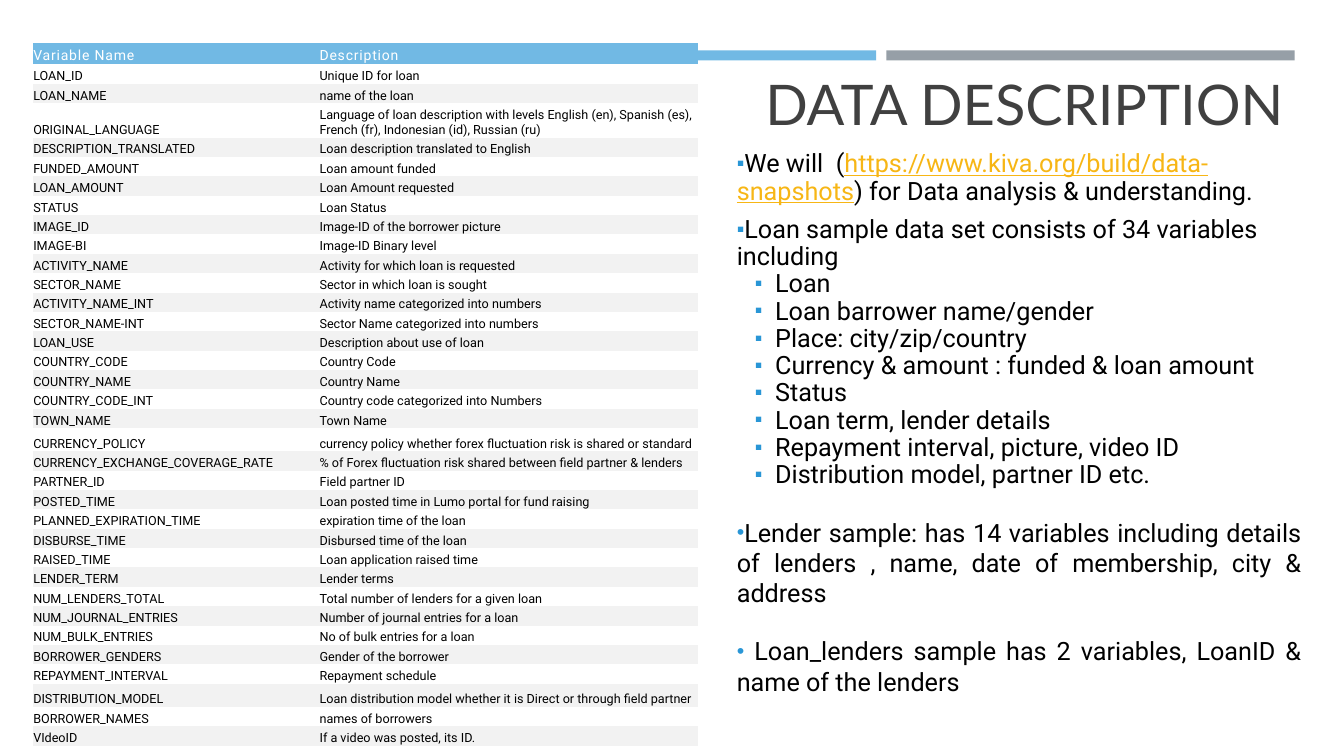
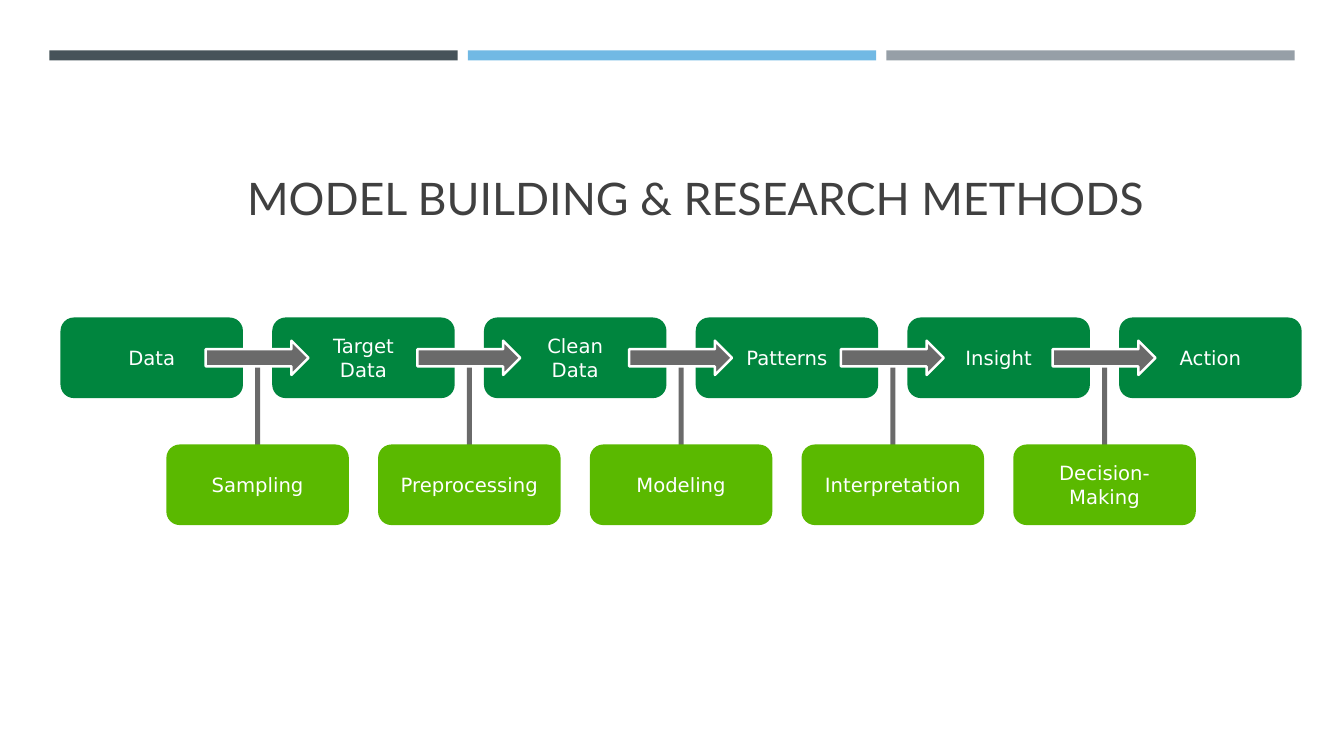
from lxml.etree import SubElement
from pptx import Presentation
from pptx.dml.color import RGBColor
from pptx.enum.shapes import MSO_SHAPE
from pptx.enum.text import MSO_ANCHOR, PP_ALIGN
from pptx.oxml.ns import qn
from pptx.util import Inches, Pt

COLORS = {
    "slate": "465359", "sky": "71B9E4", "silver": "969FA7",
    "title": "404040", "black": "000000", "white": "FFFFFF",
    "stripe": "F2F2F2", "bullet": "2996D6", "link": "F7B615",
    "stage": "00853E", "step": "5AB900", "arrow": "6A6A6A",
}
TITLE_FONT, BODY_FONT, FLOW_FONT = "Lato", "Roboto", "DejaVu Sans"
NO_GRID_STYLE = "{2D5ABB26-0587-4C30-8999-92F81FD0307C}"
BANDS = ["slate", "sky", "silver"]

HEADINGS = ("Variable Name", "Description")
VARIABLES = [
    ("LOAN_ID", "Unique ID for loan"),
    ("LOAN_NAME", "name of the loan"),
    ("ORIGINAL_LANGUAGE", "Language of loan description with levels English (en), "
     "Spanish (es), French (fr), Indonesian (id), Russian (ru)"),
    ("DESCRIPTION_TRANSLATED", "Loan description translated to English"),
    ("FUNDED_AMOUNT", "Loan amount funded"),
    ("LOAN_AMOUNT", "Loan Amount requested"),
    ("STATUS", "Loan Status"),
    ("IMAGE_ID", "Image-ID of the borrower picture"),
    ("IMAGE-BI", "Image-ID Binary level"),
    ("ACTIVITY_NAME", "Activity for which loan is requested"),
    ("SECTOR_NAME", "Sector in which loan is sought"),
    ("ACTIVITY_NAME_INT", "Activity name categorized into numbers"),
    ("SECTOR_NAME-INT", "Sector Name categorized into numbers"),
    ("LOAN_USE", "Description about use of loan"),
    ("COUNTRY_CODE", "Country Code"),
    ("COUNTRY_NAME", "Country Name"),
    ("COUNTRY_CODE_INT", "Country code categorized into Numbers"),
    ("TOWN_NAME", "Town Name"),
    ("CURRENCY_POLICY", "currency policy whether forex fluctuation risk is shared or standard"),
    ("CURRENCY_EXCHANGE_COVERAGE_RATE",
     "% of Forex fluctuation risk shared between field partner & lenders"),
    ("PARTNER_ID", "Field partner ID"),
    ("POSTED_TIME", "Loan posted time in Lumo portal for fund raising"),
    ("PLANNED_EXPIRATION_TIME", "expiration time of the loan"),
    ("DISBURSE_TIME", "Disbursed time of the loan"),
    ("RAISED_TIME", "Loan application raised time"),
    ("LENDER_TERM", "Lender terms"),
    ("NUM_LENDERS_TOTAL", "Total number of lenders for a given loan"),
    ("NUM_JOURNAL_ENTRIES", "Number of journal entries for a loan"),
    ("NUM_BULK_ENTRIES", "No of bulk entries for a loan"),
    ("BORROWER_GENDERS", "Gender of the borrower"),
    ("REPAYMENT_INTERVAL", "Repayment schedule"),
    ("DISTRIBUTION_MODEL", "Loan distribution model whether it is Direct or through field partner"),
    ("BORROWER_NAMES", "names of borrowers"),
    ("VIdeoID", "If a video was posted, its ID."),
]
ROW_HEIGHTS = {"ORIGINAL_LANGUAGE": 0.32, "CURRENCY_POLICY": 0.23, "DISTRIBUTION_MODEL": 0.23}

SOURCE_RUNS = [
    ("We will  (", "black"),
    ("https://www.kiva.org/build/data-snapshots", "link"),
    (") for Data analysis & understanding.", "black"),
]
SAMPLE_INTRO = "Loan sample data set consists of 34 variables including"
SAMPLE_FIELDS = [
    "Loan", "Loan barrower name/gender", "Place: city/zip/country",
    "Currency & amount : funded & loan amount", "Status", "Loan term, lender details",
    "Repayment interval, picture, video ID", "Distribution model, partner ID etc.",
]
LENDER_NOTES = [
    "Lender sample: has 14 variables including details of lenders , name, "
    "date of membership, city & address",
    " Loan_lenders sample has 2 variables, LoanID & name of the lenders",
]

STAGES = [["Data"], ["Target", "Data"], ["Clean", "Data"], ["Patterns"], ["Insight"], ["Action"]]
STEPS = ["Sampling", "Preprocessing", "Modeling", "Interpretation", "Decision-Making"]
PITCH = 2.1


def rgb(name):
    return RGBColor.from_string(COLORS[name])


def add_run(para, text, font, size, color):
    span = para.add_run()
    span.text = text
    span.font.name = font
    span.font.size = Pt(size)
    span.font.color.rgb = rgb(color)
    return span


def add_block(page, kind, place, color, line=None):
    block = page.shapes.add_shape(kind, *map(Inches, place))
    block.shadow.inherit = False
    block.fill.solid()
    block.fill.fore_color.rgb = rgb(color)
    if line:
        block.line.color.rgb = rgb(line)
        block.line.width = Pt(1.75)
    else:
        block.line.fill.background()
    return block


def add_page(deck, title, place, size, anchor):
    page = deck.slides.add_slide(deck.slide_layouts[5])
    box = page.shapes.title
    box.left, box.top, box.width, box.height = map(Inches, place)
    frame = box.text_frame
    frame.word_wrap = True
    frame.vertical_anchor = anchor
    para = frame.paragraphs[0]
    para.alignment = PP_ALIGN.LEFT
    add_run(para, title, TITLE_FONT, size, "title")
    return page


def move_bands_to_layout(page):
    for index, color in enumerate(BANDS):
        band = add_block(page, MSO_SHAPE.RECTANGLE, (0.49 + 4.15 * index, 0.5, 4.05, 0.1), color)
        page.slide_layout.shapes.element.append(band.element)


def add_bullet(para, mark, margin=0):
    props = para._p.get_or_add_pPr()
    props.set("marL", str(Inches(margin)))
    props.set("indent", str(Inches(-0.2)))
    tint = SubElement(props, qn("a:buClr"))
    SubElement(tint, qn("a:srgbClr"), val=COLORS["bullet"])
    SubElement(props, qn("a:buSzPct"), val="85000")
    SubElement(props, qn("a:buFont"), typeface="Arial")
    SubElement(props, qn("a:buChar"), char=mark)


def add_variable_table(page):
    rows = [HEADINGS] + VARIABLES
    graphic = page.shapes.add_table(
        len(rows), 2, Inches(0.33), Inches(0.43), Inches(6.59), Inches(7))
    table = graphic.table
    table.horz_banding = False
    table._tbl.tblPr.find(qn("a:tableStyleId")).text = NO_GRID_STYLE
    for column, width in zip(table.columns, (2.84, 3.75)):
        column.width = Inches(width)
    for number, texts in enumerate(rows):
        header = number == 0
        table.rows[number].height = Inches(0.2 if header else ROW_HEIGHTS.get(texts[0], 0.18))
        for cell, text in zip(table.rows[number].cells, texts):
            cell.margin_left = cell.margin_right = cell.margin_bottom = 0
            cell.margin_top = Pt(3)
            cell.vertical_anchor = MSO_ANCHOR.MIDDLE if header else MSO_ANCHOR.BOTTOM
            if number % 2 and not header:
                cell.fill.background()
            else:
                cell.fill.solid()
                cell.fill.fore_color.rgb = rgb("sky" if header else "stripe")
            span = add_run(cell.text_frame.paragraphs[0], text, BODY_FONT,
                           10 if header else 9, "white" if header else "black")
            if header:
                span.font._element.set("spc", "60")


def add_notes_column(page):
    box = page.shapes.add_textbox(Inches(7.21), Inches(1.45), Inches(5.8), Inches(5.9))
    frame = box.text_frame
    frame.word_wrap = True

    source = frame.paragraphs[0]
    add_bullet(source, "▪")
    source.line_spacing = 0.9
    source.space_after = Pt(8)
    for text, color in SOURCE_RUNS:
        span = add_run(source, text, BODY_FONT, 18, color)
        span.font.underline = color == "link"

    for text in [SAMPLE_INTRO] + SAMPLE_FIELDS:
        para = frame.add_paragraph()
        add_bullet(para, "▪", 0 if text == SAMPLE_INTRO else 0.38)
        para.line_spacing = 0.9
        add_run(para, text, BODY_FONT, 18, "black")

    for text in LENDER_NOTES:
        para = frame.add_paragraph()
        add_bullet(para, "•")
        para.alignment = PP_ALIGN.JUSTIFY
        para.space_before = Pt(20)
        add_run(para, text, BODY_FONT, 18, "black")


def add_flow_box(page, left, top, color, lines):
    block = add_block(page, MSO_SHAPE.ROUNDED_RECTANGLE, (left, top, 1.81, 0.8), color)
    frame = block.text_frame
    frame.word_wrap = True
    frame.margin_left = frame.margin_right = Inches(0.15)
    frame.vertical_anchor = MSO_ANCHOR.MIDDLE
    for index, text in enumerate(lines):
        para = frame.add_paragraph() if index else frame.paragraphs[0]
        para.alignment = PP_ALIGN.CENTER
        add_run(para, text, FLOW_FONT, 14, "white")


def add_flow(page):
    for index, lines in enumerate(STAGES):
        add_flow_box(page, 0.6 + PITCH * index, 3.15, "stage", lines)
    for index, text in enumerate(STEPS):
        shift = PITCH * index
        add_block(page, MSO_SHAPE.RECTANGLE, (2.53 + shift, 3.58, 0.05, 1.1), "arrow")
        add_block(page, MSO_SHAPE.RIGHT_ARROW, (2.04 + shift, 3.38, 1.02, 0.34), "arrow", "white")
        add_flow_box(page, 1.65 + shift, 4.41, "step", [text])


def main():
    deck = Presentation()
    deck.slide_width, deck.slide_height = Inches(13.33), Inches(7.5)

    data_page = add_page(deck, "DATA DESCRIPTION", (7.49, 0.6, 5.8, 0.85), 40, MSO_ANCHOR.MIDDLE)
    move_bands_to_layout(data_page)
    add_notes_column(data_page)
    add_variable_table(data_page)

    model_page = add_page(deck, "MODEL BUILDING & RESEARCH METHODS",
                          (2.35, 0.79, 9.86, 1.49), 32, MSO_ANCHOR.BOTTOM)
    add_flow(model_page)
    deck.save("out.pptx")


if __name__ == "__main__":
    main()
